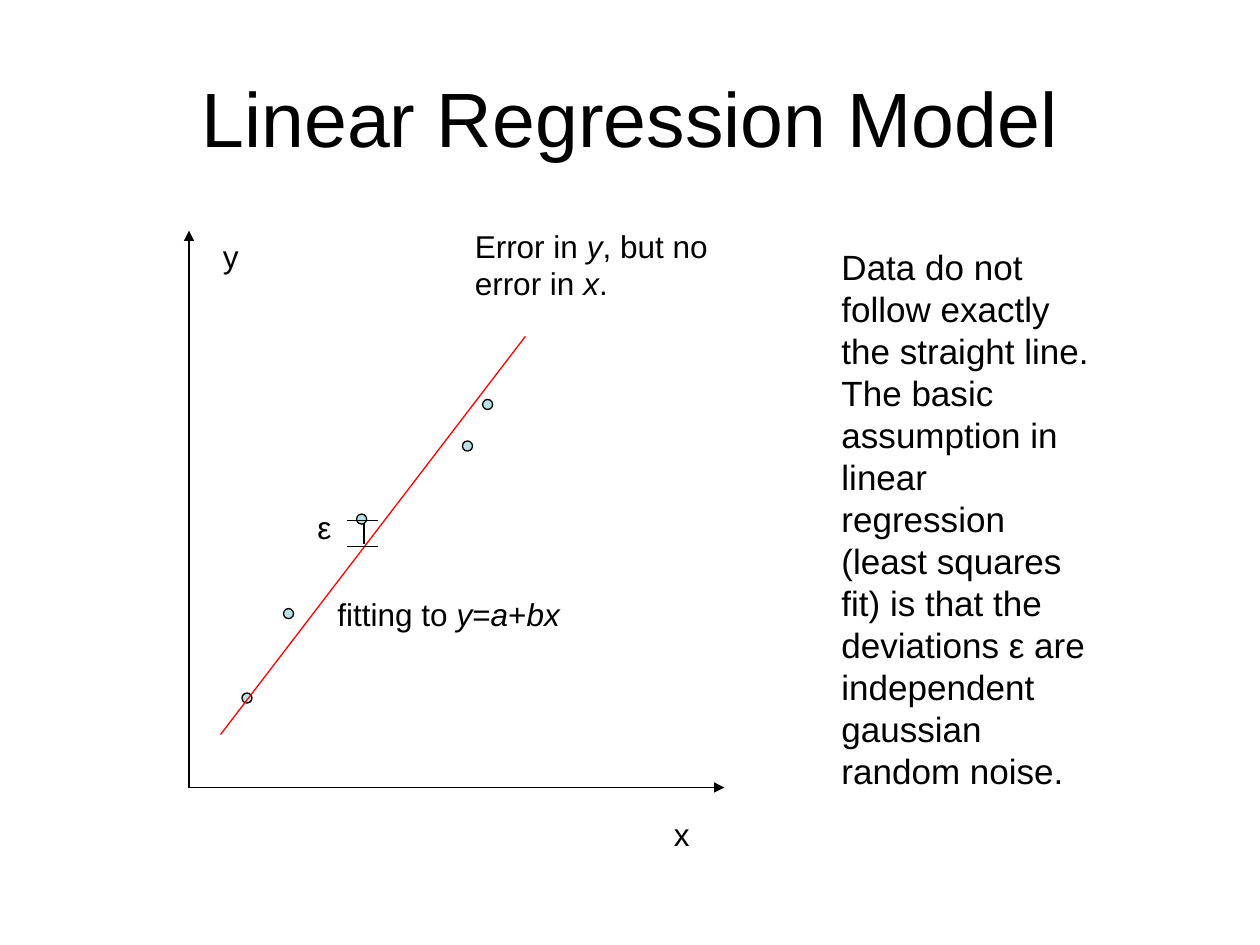
from lxml.etree import SubElement
from pptx import Presentation
from pptx.dml.color import RGBColor
from pptx.enum.shapes import MSO_CONNECTOR, MSO_SHAPE
from pptx.enum.text import MSO_ANCHOR, PP_ALIGN
from pptx.oxml.ns import qn
from pptx.util import Inches, Pt

BLACK, RED, PALE_BLUE = "000000", "FF0000", "BBE0E3"
POINT_SIZE = 0.08
DATA_POINTS = [(1.92, 5.5), (2.25, 4.83), (2.83, 4.08), (3.83, 3.17), (3.67, 3.5)]
ORIGIN = (1.5, 6.25)
ASSUMPTION = (
    "Data do not follow exactly the straight line. The basic assumption in "
    "linear regression (least squares fit) is that the deviations ε are "
    "independent gaussian random noise."
)


def rgb(color):
    return RGBColor.from_string(color)


def write_text(frame, text, size=18, color=BLACK, align=PP_ALIGN.LEFT,
               anchor=MSO_ANCHOR.TOP):
    """Fill a text frame; parts between asterisks become italic."""
    frame.word_wrap = True
    frame.vertical_anchor = anchor
    paragraph = frame.paragraphs[0]
    paragraph.alignment = align
    for index, part in enumerate(text.split("*")):
        if part:
            run = paragraph.add_run()
            run.text = part
            run.font.name = "Arial"
            run.font.size = Pt(size)
            run.font.italic = index % 2 == 1
            run.font.color.rgb = rgb(color)


def place_title(slide, text):
    title = slide.shapes.title
    title.left, title.top = Inches(0.5), Inches(0.3)
    title.width, title.height = Inches(9), Inches(1.25)
    write_text(title.text_frame, text, size=44, align=PP_ALIGN.CENTER,
               anchor=MSO_ANCHOR.MIDDLE)


def add_label(slide, text, left, top, width, height=0.4, **text_format):
    label = slide.shapes.add_textbox(
        Inches(left), Inches(top), Inches(width), Inches(height))
    write_text(label.text_frame, text, **text_format)


def add_line(slide, start, end, color=BLACK, arrow=False):
    line = slide.shapes.add_connector(
        MSO_CONNECTOR.STRAIGHT, *(Inches(value) for value in (*start, *end)))
    line.line.color.rgb = rgb(color)
    line.line.width = Pt(0.75)
    if arrow:
        SubElement(line.line._get_or_add_ln(), qn("a:tailEnd"), type="triangle")
    SubElement(line._element.spPr, qn("a:effectLst"))


def add_data_point(slide, left, top):
    point = slide.shapes.add_shape(
        MSO_SHAPE.OVAL, Inches(left), Inches(top),
        Inches(POINT_SIZE), Inches(POINT_SIZE))
    point.shadow.inherit = False
    point.fill.solid()
    point.fill.fore_color.rgb = rgb(PALE_BLUE)
    point.line.color.rgb = rgb(BLACK)
    point.line.width = Pt(0.75)


def add_axes(slide):
    add_line(slide, ORIGIN, (1.5, 1.83), arrow=True)
    add_line(slide, ORIGIN, (5.75, 6.25), arrow=True)
    add_label(slide, "x", 5.25, 6.42, 0.42)
    add_label(slide, "y", 1.67, 1.83, 0.92)


def add_deviation(slide):
    """Mark the vertical distance from a data point to the fitted line."""
    for level in (4.13, 4.34):
        add_line(slide, (2.75, level), (3, level))
    add_line(slide, (2.89, 4.15), (2.89, 4.32))
    add_label(slide, "ε", 2.42, 3.98, 0.33)


def main():
    deck = Presentation()
    deck.slide_width, deck.slide_height = Inches(10), Inches(7.5)
    slide = deck.slides.add_slide(deck.slide_layouts.get_by_name("Title Only"))
    place_title(slide, "Linear Regression Model")
    add_axes(slide)
    for left, top in DATA_POINTS:
        add_data_point(slide, left, top)
    add_line(slide, (1.75, 5.83), (4.17, 2.67), color=RED)
    add_label(slide, "fitting to *y*=*a*+*bx*", 2.58, 4.67, 2.42)
    add_deviation(slide)
    add_label(slide, ASSUMPTION, 6.58, 1.9, 2.25, 4.43, size=20)
    add_label(slide, "Error in *y*, but no error in *x*.", 3.67, 1.75, 2.17, 0.7)
    deck.save("out.pptx")


if __name__ == "__main__":
    main()
